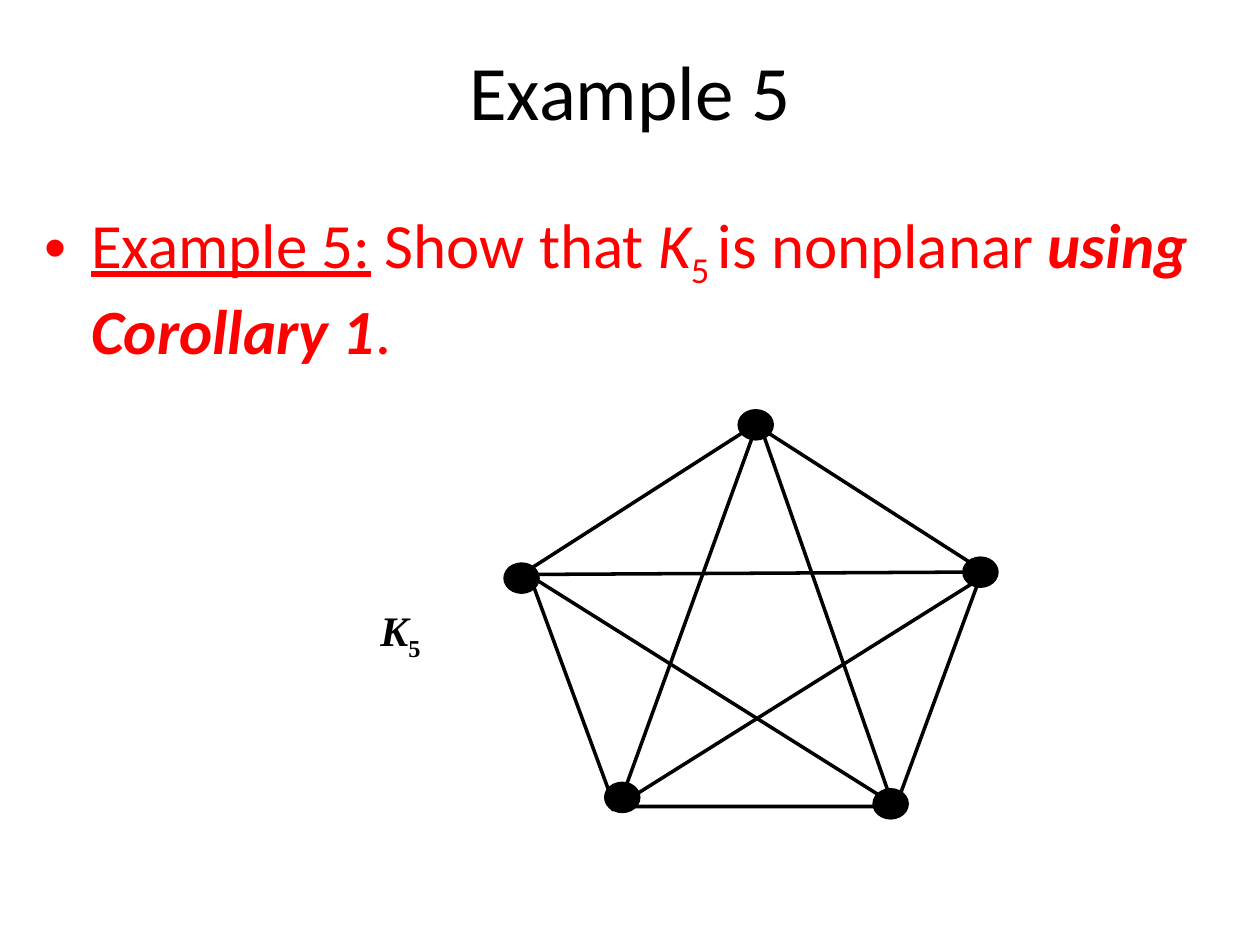
from lxml import etree
from pptx import Presentation
from pptx.dml.color import RGBColor
from pptx.enum.shapes import MSO_CONNECTOR, MSO_SHAPE
from pptx.enum.text import MSO_ANCHOR, PP_ALIGN
from pptx.oxml.ns import qn
from pptx.util import Cm, Pt

BLACK = RGBColor(0, 0, 0)
RED = RGBColor(255, 0, 0)
STRAIGHT = MSO_CONNECTOR.STRAIGHT
OVAL = MSO_SHAPE.OVAL
PENTAGON = MSO_SHAPE.REGULAR_PENTAGON
CENTER = PP_ALIGN.CENTER
MIDDLE = MSO_ANCHOR.MIDDLE
TOP = MSO_ANCHOR.TOP

NODE_WIDTH, NODE_HEIGHT = 0.71, 0.61
NODES = [(14.88, 8.26), (19.41, 11.23), (10.16, 11.35), (17.6, 15.9), (12.19, 15.77)]
DIAGONALS = [
    ((10.64, 11.58), (18.01, 16.21)),
    ((10.72, 11.58), (19.96, 11.53)),
    ((15.24, 8.61), (12.47, 16.26)),
    ((15.32, 8.56), (18.01, 16.26)),
    ((19.89, 11.58), (12.32, 16.33)),
]


def add_text(slide, box, runs, font, size, color, anchor=TOP):
    frame = slide.shapes.add_textbox(*map(Cm, box)).text_frame
    frame.word_wrap = True
    frame.vertical_anchor = anchor
    paragraph = frame.paragraphs[0]
    paragraph.font.name = font
    paragraph.font.size = Pt(size)
    paragraph.font.color.rgb = color
    for text, style in runs:
        run = paragraph.add_run()
        run.text = text
        run.font.name = font
        run.font.size = Pt(size)
        run.font.color.rgb = color
        run.font.bold = "b" in style
        run.font.italic = "i" in style
        run.font.underline = "u" in style
        if "s" in style:
            run.font._element.set("baseline", "-25000")
    return paragraph


def add_bullet(paragraph, indent):
    properties = paragraph._p.get_or_add_pPr()
    properties.set("marL", str(Cm(indent)))
    properties.set("indent", str(-Cm(indent)))
    etree.SubElement(properties, qn("a:buFont")).set("typeface", "Arial")
    etree.SubElement(properties, qn("a:buChar")).set("char", "•")


def add_outlined(slide, preset, box, width):
    shape = slide.shapes.add_shape(preset, *map(Cm, box))
    shape.shadow.inherit = False
    shape.line.color.rgb = BLACK
    shape.line.width = Pt(width)
    return shape


def add_node(slide, left, top):
    node = add_outlined(slide, OVAL, (left, top, NODE_WIDTH, NODE_HEIGHT), 0.75)
    node.fill.solid()
    node.fill.fore_color.rgb = BLACK


def add_edge(slide, start, end):
    edge = slide.shapes.add_connector(STRAIGHT, *map(Cm, start + end))
    edge.line.color.rgb = BLACK
    edge.line.width = Pt(2)
    etree.SubElement(edge._element.spPr, qn("a:effectLst"))


def add_graph(slide):
    add_outlined(slide, PENTAGON, (10.64, 8.56, 9.17, 7.7), 2).fill.background()
    for start, end in DIAGONALS:
        add_edge(slide, start, end)
    for left, top in NODES:
        add_node(slide, left, top)


def main():
    presentation = Presentation()
    presentation.slide_width = Cm(25.4)
    presentation.slide_height = Cm(19.05)
    slide = presentation.slides.add_slide(presentation.slide_layouts[6])

    title = add_text(slide, (1.27, 0.43, 22.86, 2.74), [("Example 5", "")],
                     "Calibri", 44, BLACK, MIDDLE)
    title.alignment = CENTER

    task = add_text(slide, (0.64, 4.01, 23.93, 4.45), [
        ("Example 5:", "u"),
        (" Show that ", ""),
        ("K", "i"),
        ("5 ", "s"),
        ("is nonplanar ", ""),
        ("using Corollary 1", "bi"),
        (".", ""),
    ], "Calibri", 36, RED)
    task.space_before = Pt(1.5)
    add_bullet(task, 0.95)

    add_graph(slide)

    graph_name = add_text(slide, (7.42, 12.07, 1.9, 1.27), [("K", "bi"), ("5", "bs")],
                          "Times New Roman", 24, BLACK)
    graph_name.space_before = Pt(3.5)

    presentation.save("out.pptx")


main()
